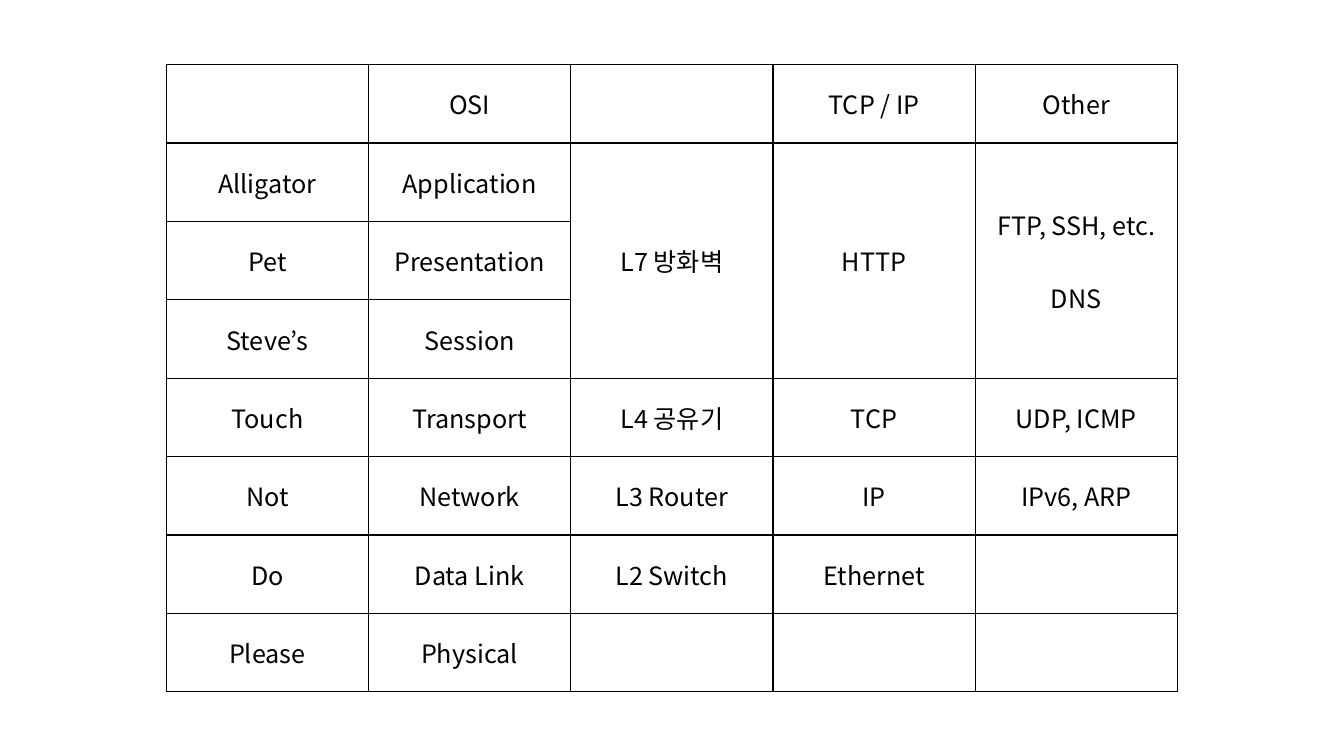
"""Builds a slide that sets the OSI layers beside devices and TCP/IP protocols."""
from lxml.etree import SubElement
from pptx import Presentation
from pptx.dml.color import RGBColor
from pptx.enum.text import MSO_ANCHOR, PP_ALIGN
from pptx.oxml.ns import qn
from pptx.util import Cm, Pt

BLACK = RGBColor(0x00, 0x00, 0x00)

LAYERS = [
    ["", "OSI", "", "TCP / IP", "Other"],
    ["Alligator", "Application", "L7 방화벽", "HTTP", "FTP, SSH, etc.\nDNS"],
    ["Pet", "Presentation", "", "", ""],
    ["Steve’s", "Session", "", "", ""],
    ["Touch", "Transport", "L4 공유기", "TCP", "UDP, ICMP"],
    ["Not", "Network", "L3 Router", "IP", "IPv6, ARP"],
    ["Do", "Data Link", "L2 Switch", "Ethernet", ""],
    ["Please", "Physical", "", "", ""],
]
MERGED_ROWS = (1, 3)
MERGED_COLS = (2, 3, 4)


class SlideBuilder:
    """Holds the text and line style and the current slide."""

    def __init__(self, slide, font="Noto Sans CJK KR", size=Pt(18), color=BLACK, line=Pt(1)):
        self.slide = slide
        self.font = font
        self.size = size
        self.color = color
        self.line = line

    def add_run(self, p, text):
        """Add one styled run to a paragraph."""
        r = p.add_run()
        r.text = text
        r.font.name = self.font
        r.font.size = self.size
        r.font.bold = False
        r.font.color.rgb = self.color
        SubElement(r.font._element, qn("a:ea"), typeface=self.font)

    def write_cell(self, cell, text):
        """Write centred lines, one line height apart."""
        cell.vertical_anchor = MSO_ANCHOR.MIDDLE
        tf = cell.text_frame
        for i, line in enumerate(text.split("\n")):
            p = tf.add_paragraph() if i else tf.paragraphs[0]
            p.alignment = PP_ALIGN.CENTER
            p.font.size = self.size
            if i:
                p.space_before = Pt(26)
            if line:
                self.add_run(p, line)

    def border_cell(self, cell):
        """Draw the four sides of a cell and leave it unfilled."""
        tcPr = cell._tc.get_or_add_tcPr()
        for side in ("lnL", "lnR", "lnT", "lnB"):
            ln = SubElement(tcPr, qn(f"a:{side}"), w=str(self.line))
            fill = SubElement(ln, qn("a:solidFill"))
            SubElement(fill, qn("a:srgbClr"), val=str(self.color))
        cell.fill.background()

    def add_table(self, rows, left, top, width, height):
        """Add a ruled table with equal rows and columns."""
        frame = self.slide.shapes.add_table(len(rows), len(rows[0]), left, top, width, height)
        table = frame.table
        table.first_row = False
        table.horz_banding = False
        for i, row in enumerate(rows):
            for j, text in enumerate(row):
                cell = table.cell(i, j)
                self.write_cell(cell, text)
                self.border_cell(cell)
        return table


def main():
    """Build and save the slide."""
    prs = Presentation()
    prs.slide_width = Cm(33.87)
    prs.slide_height = Cm(19.05)
    s = SlideBuilder(prs.slides.add_slide(prs.slide_layouts[6]))
    table = s.add_table(LAYERS, Cm(4.19), Cm(1.63), Cm(25.48), Cm(15.8))
    first, last = MERGED_ROWS
    for col in MERGED_COLS:
        table.cell(first, col).merge(table.cell(last, col))
    prs.save("out.pptx")


if __name__ == "__main__":
    main()
